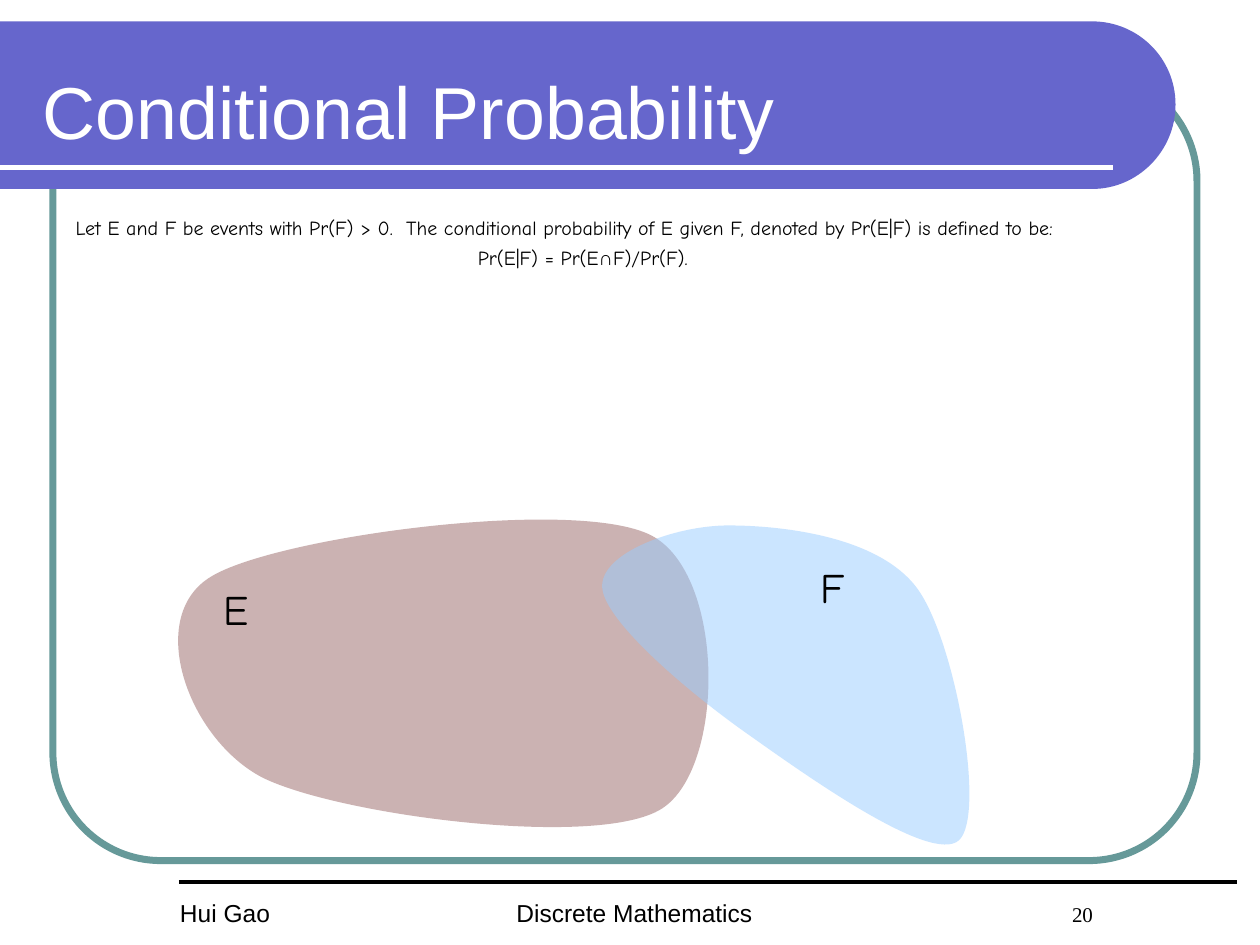
"""Build the conditional probability slide with two overlapping event regions."""
import pptx
import pptx.util
import pptx.dml.color
import pptx.enum.shapes
import pptx.enum.text
import pptx.oxml.ns
import lxml.etree

In, Pt = pptx.util.Inches, pptx.util.Pt
ALIGN, ANCHOR = pptx.enum.text.PP_ALIGN, pptx.enum.text.MSO_ANCHOR
KIND = pptx.enum.shapes.MSO_SHAPE
WIRE = pptx.enum.shapes.MSO_CONNECTOR
qn = pptx.oxml.ns.qn

THEME = {
    "band": "6666CC", "frame": "669999", "ink": "000000", "white": "FFFFFF",
    "event": "996666", "given": "99CCFF",
    "head": 42, "label": 24, "foot": 14, "page": 12, "body": 11.4,
    "sans": "Arial", "hand": "Comic Neue", "serif": "Times New Roman",
}
TITLE = "Conditional Probability"
BODY = [
    [("Let E and F be events with Pr(F) > 0.  The conditional probability of E "
      "given F, denoted by Pr(E|F) is defined to be:", "hand")],
    [("Pr(E|F) = Pr(E", "hand"), ("∩", "sans"), ("F)/Pr(F).", "hand")],
]
LABELS = [
    ("F", (6.41, 4.41, 0.75, 0.67), ALIGN.LEFT),
    ("E", (1.5, 4.58, 0.75, 0.67), ALIGN.CENTER),
]
FEET = [
    ((4, 7.08, 5.92, 0.33), [("Discrete Mathematics\t", "sans", "foot"),
                             ("20", "serif", "page")]),
    ((1.33, 7.08, 1.92, 0.34), [("Hui Gao", "sans", "foot")]),
]
PAGE_TAB = 4.41
BAND = [(0, 0.17), [(8.67, 0.17)],
        [(9.03, 0.17), (9.33, 0.46), (9.33, 0.83)],
        [(9.33, 1.2), (9.03, 1.5), (8.67, 1.5)], [(0, 1.5)], [(0, 0.17)]]
EVENT = [(1.67, 4.58),
         [(1.15, 4.9), (1.49, 5.86), (2.08, 6.17)],
         [(2.68, 6.47), (4.74, 6.74), (5.25, 6.42)],
         [(5.76, 6.1), (5.76, 4.56), (5.17, 4.25)],
         [(4.57, 3.94), (2.18, 4.26), (1.67, 4.58)]]
GIVEN = [(7.28, 4.67),
         [(6.97, 4.25), (6.19, 4.17), (5.78, 4.17)],
         [(5.36, 4.17), (4.75, 4.39), (4.78, 4.67)],
         [(4.81, 4.94), (5.47, 5.5), (5.94, 5.83)],
         [(6.42, 6.17), (7.39, 6.86), (7.61, 6.67)],
         [(7.83, 6.47), (7.58, 5.08), (7.28, 4.67)]]


def tint(name):
    return pptx.dml.color.RGBColor.from_string(THEME[name])


def place(shape, box):
    shape.left, shape.top, shape.width, shape.height = map(In, box)


def style(run, face, size, color="ink"):
    run.font.name, run.font.size = THEME[face], Pt(THEME[size])
    run.font.color.rgb = tint(color)


def write(para, parts):
    for text, face, size in parts:
        run = para.add_run()
        run.text = text
        style(run, face, size)


def label(slide, box):
    shape = slide.shapes.add_textbox(*map(In, box))
    shape.text_frame.word_wrap = True
    return shape.text_frame.paragraphs[0]


def bend(shape, parts):
    """Merge each run of three line ends into one cubic curve."""
    lines = iter(list(shape.element.iter(qn("a:lnTo"))))
    for part in parts:
        first, *rest = [next(lines) for _ in part]
        if rest:
            first.tag = qn("a:cubicBezTo")
            for line in rest:
                first.append(line[0])
                line.getparent().remove(line)


def region(slide, path, color, alpha=None):
    start, *parts = path
    pen = slide.shapes.build_freeform(*map(In, start))
    pen.add_line_segments([(In(x), In(y)) for part in parts for x, y in part],
                          close=True)
    shape = pen.convert_to_shape()
    bend(shape, parts)
    shape.shadow.inherit = False
    shape.fill.solid()
    shape.fill.fore_color.rgb = tint(color)
    shape.line.fill.background()
    if alpha:
        tone = shape.element.spPr.find(qn("a:solidFill"))[0]
        lxml.etree.SubElement(tone, qn("a:alpha"), val=str(alpha * 1000))


def rule(slide, left, right, y, color, width):
    line = slide.shapes.add_connector(WIRE.STRAIGHT, In(left), In(y), In(right), In(y))
    line.line.color.rgb, line.line.width = tint(color), Pt(width)
    lxml.etree.SubElement(line.element.spPr, qn("a:effectLst"))


def frame(slide):
    shape = slide.shapes.add_shape(KIND.ROUNDED_RECTANGLE,
                                   *map(In, (0.42, 0.58, 9.08, 6.25)))
    shape.adjustments[0] = 0.137
    shape.shadow.inherit = False
    shape.fill.background()
    shape.line.color.rgb, shape.line.width = tint("frame"), Pt(4)


def feet(slide):
    for box, parts in FEET:
        para = label(slide, box)
        if len(parts) > 1:
            tabs = lxml.etree.SubElement(para._p.get_or_add_pPr(), qn("a:tabLst"))
            lxml.etree.SubElement(tabs, qn("a:tab"), pos=str(In(PAGE_TAB)), algn="l")
        write(para, parts)


def head(slide):
    shape = slide.shapes.title
    shape.element.getparent().append(shape.element)
    place(shape, (0.24, 0.25, 9.26, 1.25))
    text = shape.text_frame
    text.text = TITLE
    text.vertical_anchor = ANCHOR.MIDDLE
    text.paragraphs[0].alignment = ALIGN.LEFT
    style(text.paragraphs[0].runs[0], "sans", "head", "white")


def body(slide):
    shape = slide.placeholders[1]
    shape.element.getparent().append(shape.element)
    place(shape, (0.5, 1.7, 8.25, 0.67))
    text = shape.text_frame
    text.auto_size = pptx.enum.text.MSO_AUTO_SIZE.NONE
    for row, parts in enumerate(BODY):
        para = text.add_paragraph() if row else text.paragraphs[0]
        props = para._p.get_or_add_pPr()
        props.set("marL", str(In(0.38)))
        props.set("indent", str(-In(0.38)))
        lxml.etree.SubElement(props, qn("a:buNone"))
        para.line_spacing = 0.8
        para.space_before = Pt(6 if row else 0)
        para.alignment = ALIGN.CENTER if row else ALIGN.LEFT
        write(para, [(words, face, "body") for words, face in parts])


def main():
    deck = pptx.Presentation()
    deck.slide_width, deck.slide_height = In(10), In(7.5)
    slide = deck.slides.add_slide(deck.slide_layouts[1])
    frame(slide)
    region(slide, BAND, "band")
    rule(slide, 0, 8.83, 1.33, "white", 3)
    feet(slide)
    rule(slide, 1.42, 9.82, 7, "ink", 2.25)
    head(slide)
    body(slide)
    region(slide, EVENT, "event", 50)
    region(slide, GIVEN, "given", 50)
    for text, box, align in LABELS:
        para = label(slide, box)
        para.alignment = align
        write(para, [(text, "hand", "label")])
    deck.save("out.pptx")


if __name__ == "__main__":
    main()
